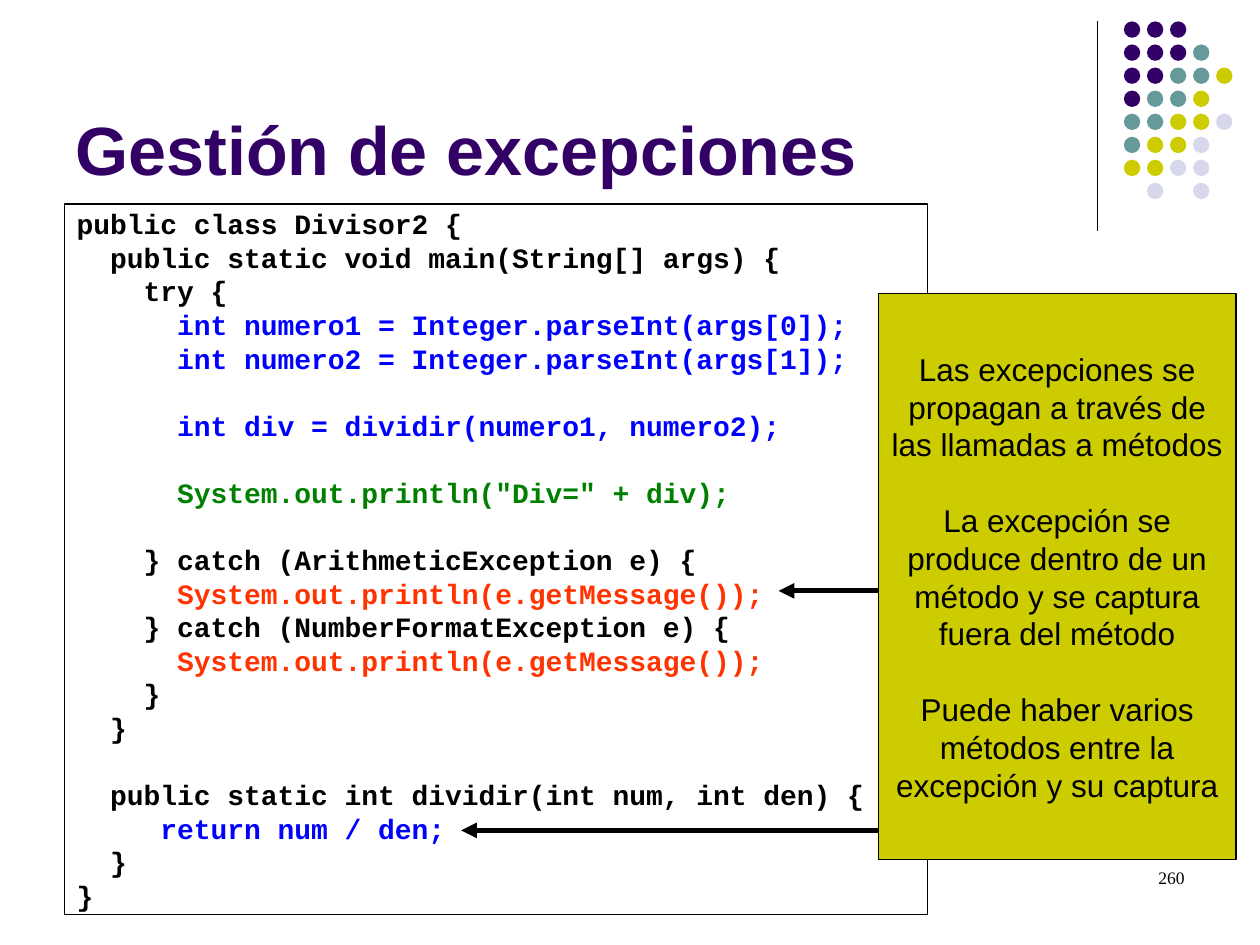
from lxml import etree
from pptx import Presentation
from pptx.dml.color import RGBColor
from pptx.enum.shapes import MSO_CONNECTOR, MSO_SHAPE
from pptx.enum.text import MSO_ANCHOR, PP_ALIGN
from pptx.oxml.ns import qn
from pptx.util import Inches, Pt

RECTANGLE, OVAL = MSO_SHAPE.RECTANGLE, MSO_SHAPE.OVAL
STRAIGHT = MSO_CONNECTOR.STRAIGHT
MIDDLE, BOTTOM, TOP = MSO_ANCHOR.MIDDLE, MSO_ANCHOR.BOTTOM, MSO_ANCHOR.TOP
LEFT, CENTER, RIGHT = PP_ALIGN.LEFT, PP_ALIGN.CENTER, PP_ALIGN.RIGHT

WIDTH, HEIGHT = Inches(10), Inches(7.5)
BLACK, WHITE, PURPLE, OLIVE = "000000", "FFFFFF", "330066", "CCCC00"
BLUE, GREEN, RED = "0000FF", "008000", "FF3300"
LEADING = 1.2

DOT_COLORS = {"P": PURPLE, "T": "669999", "O": OLIVE, "L": "D8D8EC"}
DOT_ROWS = ["PPP", "PPPT", "PPTTO", "PTTO", "TTOOL", "TOOL", "OOLL", " L L"]
DOT_SIZE, DOT_PITCH = Inches(0.13), Inches(0.183)

CODE = [
    ("public class Divisor2 {", BLACK),
    ("  public static void main(String[] args) {", BLACK),
    ("    try {", BLACK),
    ("      int numero1 = Integer.parseInt(args[0]);", BLUE),
    ("      int numero2 = Integer.parseInt(args[1]);", BLUE),
    ("", BLACK),
    ("      int div = dividir(numero1, numero2);", BLUE),
    ("", BLACK),
    ("      System.out.println(\"Div=\" + div);", GREEN),
    ("", BLACK),
    ("    } catch (ArithmeticException e) {", BLACK),
    ("      System.out.println(e.getMessage());", RED),
    ("    } catch (NumberFormatException e) {", BLACK),
    ("      System.out.println(e.getMessage());", RED),
    ("    }", BLACK),
    ("  }", BLACK),
    ("", BLACK),
    ("  public static int dividir(int num, int den) {", BLACK),
    ("     return num / den;", BLUE),
    ("  }", BLACK),
    ("}", BLACK),
]
NOTES = [
    ("Las excepciones se propagan a través de las llamadas a métodos", BLACK),
    ("", BLACK),
    ("La excepción se produce dentro de un método y se captura fuera del método", BLACK),
    ("", BLACK),
    ("Puede haber varios métodos entre la excepción y su captura", BLACK),
]


def color(value):
    """Turn a hex string into a colour."""
    return RGBColor.from_string(value)


def across(percent):
    """Give a share of the slide's width."""
    return round(WIDTH * percent / 100)


def down(percent):
    """Give a share of the slide's height."""
    return round(HEIGHT * percent / 100)


def area(left, top, width, height):
    """Turn percentages of the slide into a position and a size."""
    return across(left), down(top), across(width), down(height)


def write(shape, lines, font, size, bold=False, align=LEFT, anchor=MIDDLE):
    """Write coloured lines, turning each empty one into space before the next."""
    frame = shape.text_frame
    frame.word_wrap = True
    frame.vertical_anchor = anchor
    frame.margin_left = frame.margin_right = Inches(0.1)
    frame.margin_top = frame.margin_bottom = Inches(0.05)
    para, gap = None, 0
    for text, ink in lines:
        if not text:
            gap += size * LEADING
            continue
        para = frame.add_paragraph() if para else frame.paragraphs[0]
        para.alignment = align
        para.line_spacing = Pt(size * LEADING)
        para.space_before = Pt(gap)
        gap = 0
        span = para.add_run()
        span.text = text
        span.font.name, span.font.size, span.font.bold = font, Pt(size), bold
        span.font.color.rgb = color(ink)


def add_panel(page, place, fill):
    """Add a filled rectangle with a thin black outline."""
    box = page.shapes.add_shape(RECTANGLE, *place)
    box.shadow.inherit = False
    box.fill.solid()
    box.fill.fore_color.rgb = color(fill)
    box.line.color.rgb = color(BLACK)
    box.line.width = Pt(0.75)
    return box


def add_line(page, start, end, weight, arrow=False):
    """Add a black line, with an arrowhead at its end if wanted."""
    line = page.shapes.add_connector(
        STRAIGHT, across(start[0]), down(start[1]), across(end[0]), down(end[1]))
    line.line.color.rgb = color(BLACK)
    line.line.width = Pt(weight)
    if arrow:
        etree.SubElement(line.line._get_or_add_ln(), qn("a:tailEnd"), type="triangle")
    etree.SubElement(line._element.spPr, qn("a:effectLst"))


def add_dots(page, left, top):
    """Add the corner grid of coloured dots as one group."""
    group = page.shapes.add_group_shape()
    for row, marks in enumerate(DOT_ROWS):
        for column, mark in enumerate(marks):
            if mark in DOT_COLORS:
                dot = group.shapes.add_shape(
                    OVAL, left + column * DOT_PITCH, top + row * DOT_PITCH,
                    DOT_SIZE, DOT_SIZE)
                dot.shadow.inherit = False
                dot.fill.solid()
                dot.fill.fore_color.rgb = color(DOT_COLORS[mark])
                dot.line.fill.background()


def add_title(page, text):
    """Move and format the title placeholder."""
    title = page.shapes.title
    title.left, title.top, title.width, title.height = area(5, 1.73, 82.5, 18.93)
    write(title, [(text, PURPLE)], "Arial", 39, bold=True, anchor=BOTTOM)


def main():
    """Build the slide and save it."""
    deck = Presentation()
    deck.slide_width, deck.slide_height = WIDTH, HEIGHT
    page = deck.slides.add_slide(deck.slide_layouts[5])
    add_line(page, (87.1, 2.27), (87.1, 24.4), 0.75)
    add_dots(page, across(89.2), down(2.27))
    add_title(page, "Gestión de excepciones")
    listing = add_panel(page, area(5.1, 21.6, 68.5, 75.2), WHITE)
    write(listing, CODE, "Courier New", 16, bold=True)
    callout = add_panel(page, area(69.7, 31.07, 28.4, 59.87), OLIVE)
    write(callout, NOTES, "Arial", 18, align=CENTER)
    for tip, level in [(61.8, 62.53), (36.6, 87.87)]:
        add_line(page, (69.7, level), (tip, level), 3, arrow=True)
    number = page.shapes.add_textbox(*area(71.7, 91.07, 23.3, 6.67))
    write(number, [("260", BLACK)], "Times New Roman", 10, align=RIGHT, anchor=TOP)
    deck.save("out.pptx")


if __name__ == "__main__":
    main()
